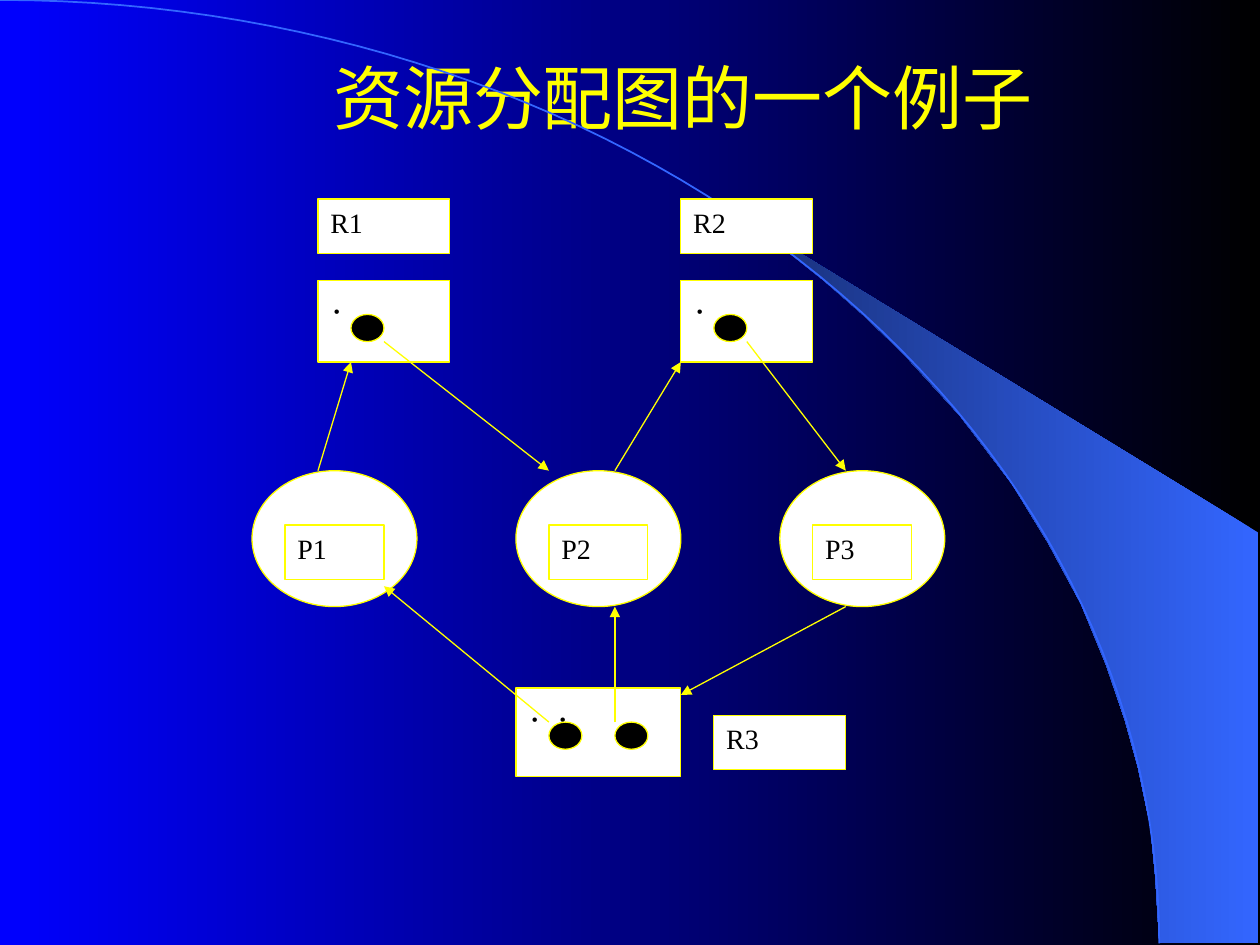
"""Build a slide with a resource allocation graph of three processes and three resources."""
from dataclasses import dataclass
from math import cos, pi, sin

from lxml import etree
from pptx import Presentation
from pptx import util as u
from pptx.dml.color import RGBColor
from pptx.enum import shapes, text
from pptx.oxml.ns import qn

YELLOW = RGBColor(0xFF, 0xFF, 0x00)
WHITE = RGBColor(0xFF, 0xFF, 0xFF)
BLACK = RGBColor(0x00, 0x00, 0x00)
BLUE = RGBColor(0x00, 0x00, 0xFF)
ARC_BLUE = RGBColor(0x33, 0x66, 0xFF)
DEEP_BLUE = RGBColor(0x18, 0x2F, 0x76)

GRAPH_LEFT, GRAPH_TOP = u.Cm(5.08), u.Cm(4.01)
COLUMN, ROW = u.Cm(10.64) / 16, u.Cm(10.41) / 19
RECTANGLE = shapes.MSO_SHAPE.RECTANGLE
OVAL = shapes.MSO_SHAPE.OVAL
ARC_STEPS = 60
WING = [
    (23.37, 19), (25.37, 19.02), (25.37, 10.74), (14.96, 4.39), (15.85, 5.05),
    (16.59, 5.64), (17.4, 6.35), (18.19, 7.11), (19.35, 8.38), (20.4, 9.75),
    (21.13, 10.95), (21.79, 12.17), (22.3, 13.41), (22.68, 14.53),
    (22.94, 15.47), (23.19, 16.66), (23.29, 17.68),
]


@dataclass
class Node:
    """A shape placed in graph columns and rows."""
    kind: shapes.MSO_SHAPE
    column: float
    row: float
    columns: float
    rows: float
    label: str = ""
    fill: RGBColor = WHITE


@dataclass
class Arrow:
    """An arrow between two points of the graph grid."""
    start: tuple[float, float]
    end: tuple[float, float]


def resource_label(name: str, column: float, row: float) -> Node:
    """Describe the name box of a resource."""
    return Node(RECTANGLE, column, row, 4, 2, name)


def process(name: str, column: float) -> list[Node]:
    """Describe a process circle and its name box."""
    return [Node(OVAL, column, 10, 5, 5), Node(RECTANGLE, column + 1, 12, 3, 2, name)]


def instance(column: float, row: float) -> Node:
    """Describe the dot of one resource instance."""
    return Node(OVAL, column, row, 1, 1, fill=BLACK)


NODES = [
    resource_label("R1", 2, 0),
    resource_label("R2", 13, 0),
    Node(RECTANGLE, 2, 3, 4, 3, "．"),
    Node(RECTANGLE, 8, 18, 5, 3.25, "．．"),
    Node(RECTANGLE, 13, 3, 4, 3, "．"),
    *process("P1", 0),
    *process("P2", 8),
    *process("P3", 16),
]
ARROWS = [
    Arrow((2, 10), (3, 6)),
    Arrow((4, 5.25), (9, 10)),
    Arrow((11, 10), (13, 6)),
    Arrow((15, 5.25), (18, 10)),
    Arrow((9, 19.25), (4, 14.25)),
    Arrow((11, 19.25), (11, 15)),
    Arrow((18, 15), (13, 18.25)),
]
FRONT_NODES = [
    resource_label("R3", 14, 19),
    instance(3, 4.25),
    instance(14, 4.25),
    instance(9, 19.25),
    instance(11, 19.25),
]


def grid_point(column: float, row: float) -> tuple[int, int]:
    """Turn graph columns and rows into a slide position."""
    return round(GRAPH_LEFT + column * COLUMN), round(GRAPH_TOP + row * ROW)


def set_gradient(fill, first: RGBColor, last: RGBColor) -> None:
    """Fill from right to left with two colours."""
    fill.gradient()
    fill.gradient_angle = 180
    for stop, color in zip(fill.gradient_stops, (first, last)):
        stop.color.rgb = color


def draw_outline(slide, points: list[tuple[float, float]], close: bool):
    """Draw a freeform through points given in centimetres."""
    lengths = [(u.Cm(x), u.Cm(y)) for x, y in points]
    builder = slide.shapes.build_freeform(*lengths[0])
    builder.add_line_segments(lengths[1:], close=close)
    shape = builder.convert_to_shape()
    shape.shadow.inherit = False
    return shape


def draw_backdrop(slide) -> None:
    """Draw the gradient background, the wing and the arc."""
    set_gradient(slide.background.fill, BLACK, BLUE)
    wing = draw_outline(slide, WING, True)
    set_gradient(wing.fill, ARC_BLUE, DEEP_BLUE)
    wing.line.fill.background()
    angles = [pi / 2 * step / ARC_STEPS for step in range(ARC_STEPS + 1)]
    arc = draw_outline(slide, [(23.37 * sin(a), 19.02 * (1 - cos(a))) for a in angles], False)
    arc.fill.background()
    arc.line.color.rgb = ARC_BLUE
    arc.line.width = u.Pt(1)


def draw_title(slide, wording: str) -> None:
    """Place and format the title placeholder."""
    title = slide.shapes.title
    title.left, title.top, title.width, title.height = map(u.Cm, (2.97, 1.27, 21.59, 3.18))
    frame = title.text_frame
    frame.text = wording
    frame.auto_size = text.MSO_AUTO_SIZE.NONE
    frame.vertical_anchor = text.MSO_ANCHOR.MIDDLE
    frame.margin_bottom = u.Cm(1.95)
    paragraph = frame.paragraphs[0]
    paragraph.alignment = text.PP_ALIGN.CENTER
    font = paragraph.runs[0].font
    font.size = u.Pt(40)
    font.color.rgb = YELLOW
    font.name = "Noto Sans CJK SC"
    properties = paragraph.runs[0]._r.get_or_add_rPr()
    etree.SubElement(properties, qn("a:ea")).set("typeface", "Noto Sans CJK SC")


def draw_node(slide, node: Node) -> None:
    """Draw one shape of the graph with its label."""
    left, top = grid_point(node.column, node.row)
    width, height = round(node.columns * COLUMN), round(node.rows * ROW)
    shape = slide.shapes.add_shape(node.kind, left, top, width, height)
    shape.shadow.inherit = False
    shape.fill.solid()
    shape.fill.fore_color.rgb = node.fill
    shape.line.color.rgb = YELLOW
    shape.line.width = u.Pt(0.75)
    if node.label:
        frame = shape.text_frame
        frame.text = node.label
        frame.vertical_anchor = text.MSO_ANCHOR.TOP
        paragraph = frame.paragraphs[0]
        paragraph.alignment = text.PP_ALIGN.LEFT
        font = paragraph.runs[0].font
        font.name = "Times New Roman"
        font.size = u.Pt(16)
        font.color.rgb = BLACK


def draw_arrow(slide, arrow: Arrow) -> None:
    """Draw one arrow of the graph."""
    connector = slide.shapes.add_connector(
        shapes.MSO_CONNECTOR.STRAIGHT, *grid_point(*arrow.start), *grid_point(*arrow.end))
    connector.line.color.rgb = YELLOW
    connector.line.width = u.Pt(0.75)
    etree.SubElement(connector.line._get_or_add_ln(), qn("a:tailEnd")).set("type", "triangle")
    etree.SubElement(connector._element.spPr, qn("a:effectLst"))


def main() -> None:
    """Build and save the presentation."""
    presentation = Presentation()
    presentation.slide_width, presentation.slide_height = u.Cm(25.4), u.Cm(19.05)
    slide = presentation.slides.add_slide(presentation.slide_layouts[5])
    draw_backdrop(slide)
    draw_title(slide, "资源分配图的一个例子")
    for node in NODES:
        draw_node(slide, node)
    for arrow in ARROWS:
        draw_arrow(slide, arrow)
    for node in FRONT_NODES:
        draw_node(slide, node)
    presentation.save("out.pptx")


if __name__ == "__main__":
    main()
